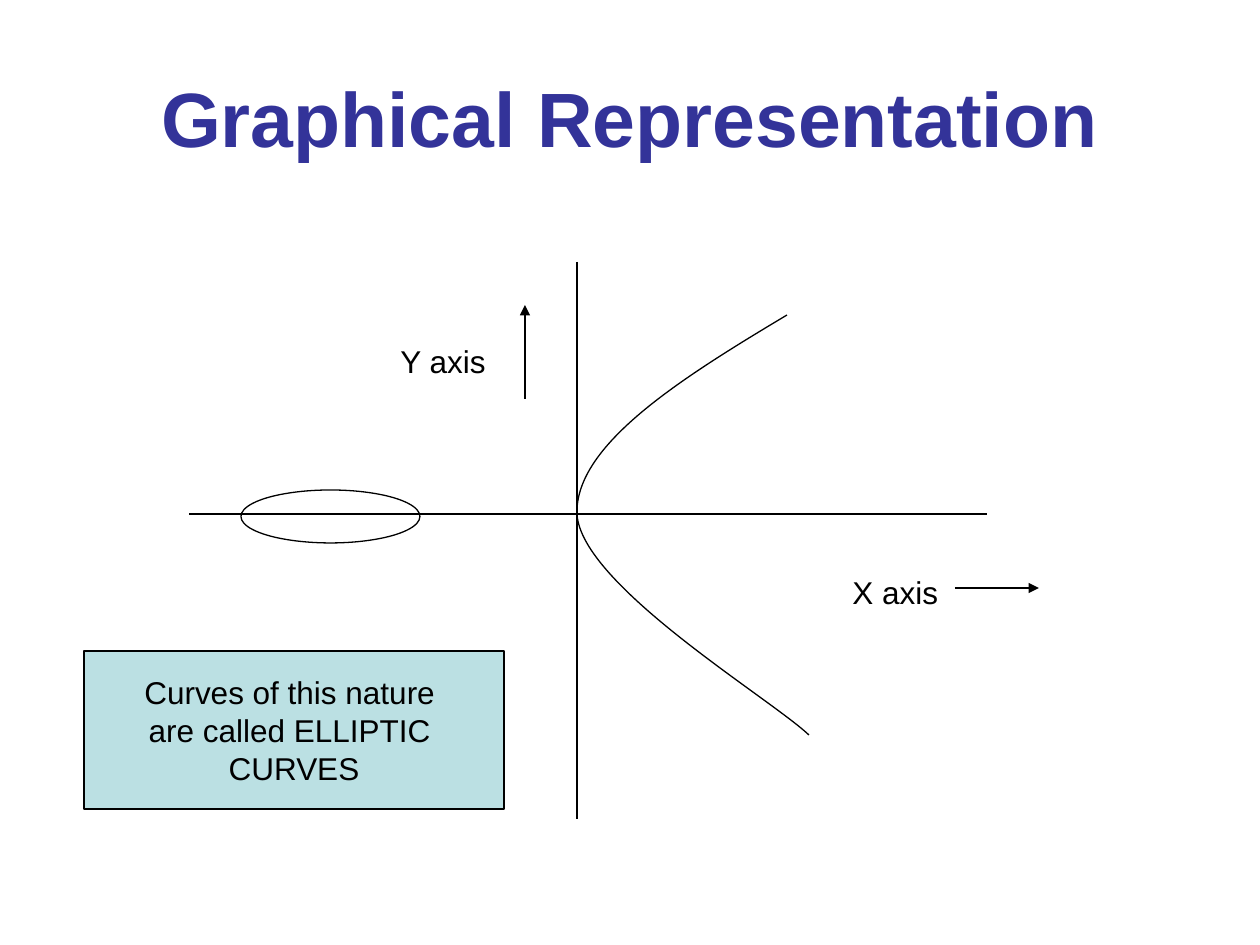
import dataclasses

import lxml.etree
import pptx
import pptx.dml.color
import pptx.enum.shapes
import pptx.enum.text
import pptx.oxml
import pptx.oxml.ns
import pptx.util

EMU_PER_PX = 914400 / 126


@dataclasses.dataclass(frozen=True)
class Theme:
    font: str = "Arial"
    title_color: str = "333399"
    ink: str = "000000"
    note_fill: str = "BBE0E3"
    title_size: int = 44
    body_size: int = 18
    line_width: float = 0.75


def emu(px):
    return pptx.util.Emu(round(px * EMU_PER_PX))


def rgb(color):
    return pptx.dml.color.RGBColor.from_string(color)


class SlideBuilder:
    def __init__(self, slide, theme):
        self.slide = slide
        self.theme = theme

    def set_text(self, frame, lines, size, color, align, anchor, wrap=True, bold=False):
        frame.text = "\n".join(lines)
        frame.word_wrap = wrap
        frame.auto_size = pptx.enum.text.MSO_AUTO_SIZE.NONE
        frame.vertical_anchor = anchor
        for paragraph in frame.paragraphs:
            paragraph.alignment = align
            paragraph.font.name = self.theme.font
            paragraph.font.size = pptx.util.Pt(size)
            paragraph.font.bold = bold
            paragraph.font.color.rgb = rgb(color)

    def outline(self, shape, fill=None):
        shape.shadow.inherit = False
        shape.line.color.rgb = rgb(self.theme.ink)
        shape.line.width = pptx.util.Pt(self.theme.line_width)
        if fill:
            shape.fill.solid()
            shape.fill.fore_color.rgb = rgb(fill)
        else:
            shape.fill.background()

    def title(self, text, left, top, width, height):
        shape = self.slide.shapes.title
        shape.left, shape.top = emu(left), emu(top)
        shape.width, shape.height = emu(width), emu(height)
        self.set_text(shape.text_frame, [text], self.theme.title_size, self.theme.title_color,
                      pptx.enum.text.PP_ALIGN.CENTER, pptx.enum.text.MSO_ANCHOR.MIDDLE, bold=True)

    def label(self, text, left, top, width, height):
        shape = self.slide.shapes.add_textbox(emu(left), emu(top), emu(width), emu(height))
        self.set_text(shape.text_frame, [text], self.theme.body_size, self.theme.ink,
                      pptx.enum.text.PP_ALIGN.LEFT, pptx.enum.text.MSO_ANCHOR.TOP)

    def line(self, start, end, arrow=False):
        connector = self.slide.shapes.add_connector(
            pptx.enum.shapes.MSO_CONNECTOR.STRAIGHT, *map(emu, start + end))
        connector.line.color.rgb = rgb(self.theme.ink)
        connector.line.width = pptx.util.Pt(self.theme.line_width)
        properties = connector._element.spPr
        if arrow:
            lxml.etree.SubElement(properties.find(pptx.oxml.ns.qn("a:ln")),
                                  pptx.oxml.ns.qn("a:tailEnd"), type="triangle")
        lxml.etree.SubElement(properties, pptx.oxml.ns.qn("a:effectLst"))

    def shape(self, kind, left, top, width, height, fill=None):
        shape = self.slide.shapes.add_shape(kind, emu(left), emu(top), emu(width), emu(height))
        self.outline(shape, fill)
        return shape

    def note(self, lines, left, top, width, height):
        shape = self.shape(pptx.enum.shapes.MSO_SHAPE.RECTANGLE,
                           left, top, width, height, self.theme.note_fill)
        self.set_text(shape.text_frame, lines, self.theme.body_size, self.theme.ink,
                      pptx.enum.text.PP_ALIGN.CENTER, pptx.enum.text.MSO_ANCHOR.MIDDLE, wrap=False)

    def curve(self, start, *points):
        """Draw cubic Bezier pieces, each given as two control points and an end."""
        builder = self.slide.shapes.build_freeform(*start, scale=EMU_PER_PX)
        builder.add_line_segments(points, close=False)
        shape = builder.convert_to_shape()
        self.outline(shape)
        # Join every three line steps into one Bezier piece
        steps = list(shape._element.iter(pptx.oxml.ns.qn("a:lnTo")))
        for index in range(0, len(steps), 3):
            piece = pptx.oxml.parse_xml(
                f"<a:cubicBezTo {pptx.oxml.ns.nsdecls('a')}/>")
            steps[index].addprevious(piece)
            for step in steps[index:index + 3]:
                piece.append(step[0])
                step.getparent().remove(step)


def main():
    presentation = pptx.Presentation()
    presentation.slide_width, presentation.slide_height = emu(1260), emu(945)
    slide = presentation.slides.add_slide(presentation.slide_layouts.get_by_name("Title Only"))
    builder = SlideBuilder(slide, Theme())

    builder.title("Graphical Representation", 63, 38, 1134, 157)

    # Axes
    origin_x, origin_y = 577, 514
    builder.line((origin_x, 262), (origin_x, 819))
    builder.line((189, origin_y), (987, origin_y))

    # Elliptic curve: closed oval and open branch through the origin
    builder.shape(pptx.enum.shapes.MSO_SHAPE.OVAL, 241, 490, 179, 53)
    builder.curve((787, 315), (680, 379), (575, 445), (origin_x, origin_y),
                  (581, 585), (770, 698), (809, 735))

    # Axis names with direction arrows
    builder.label("X axis", 840, 567, 199, 50)
    builder.label("Y axis", 388, 336, 147, 50)
    builder.line((955, 588), (1039, 588), arrow=True)
    builder.line((525, 399), (525, 305), arrow=True)

    # Note
    builder.note(["Curves of this nature ", "are called ELLIPTIC ", "CURVES"], 84, 651, 420, 158)

    presentation.save("out.pptx")


if __name__ == "__main__":
    main()
